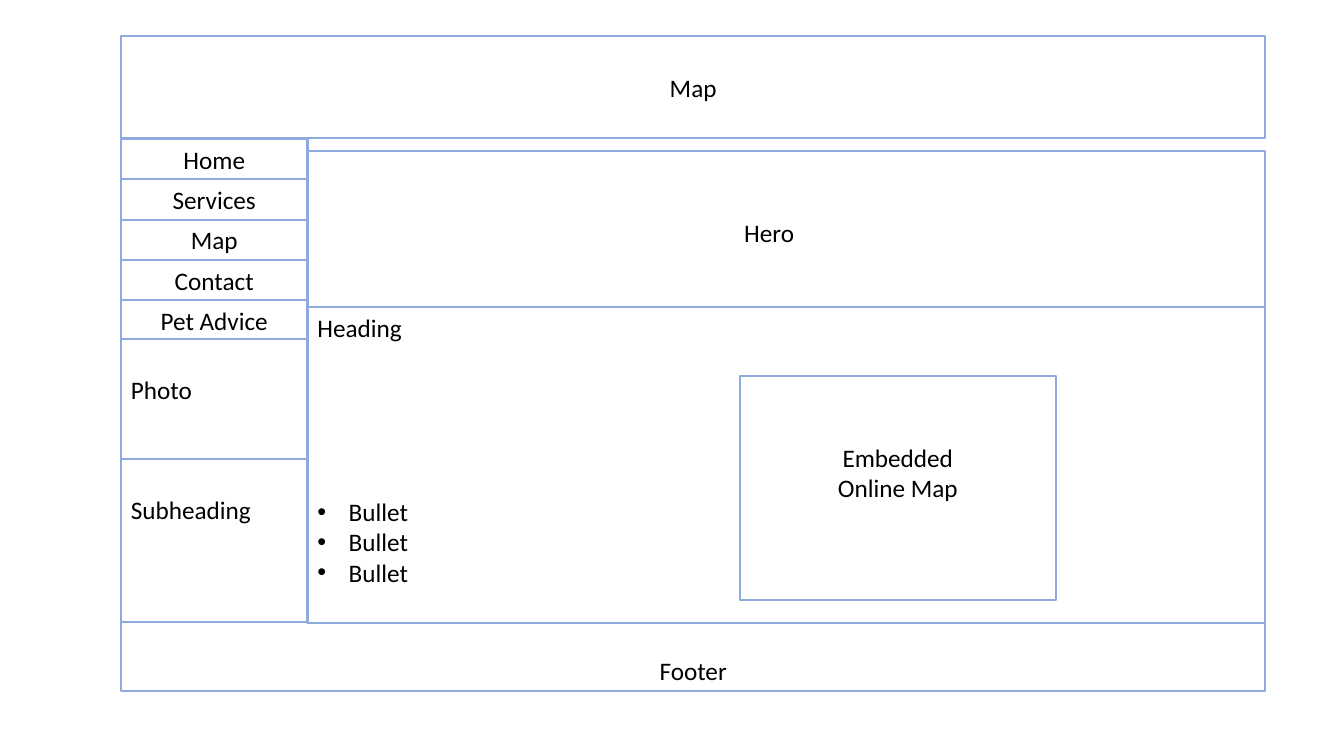
from dataclasses import dataclass

from lxml import etree
from pptx import Presentation
from pptx.dml.color import RGBColor
from pptx.enum.shapes import MSO_SHAPE
from pptx.enum.text import MSO_ANCHOR, PP_ALIGN
from pptx.oxml.ns import qn
from pptx.util import Inches, Pt

RECT = MSO_SHAPE.RECTANGLE
TOP = MSO_ANCHOR.TOP
LEFT, CENTER = PP_ALIGN.LEFT, PP_ALIGN.CENTER

WHITE, BLACK, BLUE = "FFFFFF", "000000", "8FAADC"
FONT, SIZE = "Calibri", 18
ROW = 0.305  # height of one text line, inches
EDGE, SIDE, MAIN = 1.2, 1.85, 9.5
INNER, FULL = EDGE + SIDE, SIDE + MAIN
NAV_TOP, NAV_STEP = 1.38, 0.4
INDENT = 0.31


@dataclass
class Box:
    """A wireframe region; drop is the number of lines above its text."""
    left: float
    top: float
    width: float
    height: float
    lines: list[str]
    drop: int = 0
    align: PP_ALIGN = CENTER
    right: float = 0.1


def color(code: str) -> RGBColor:
    """Turn a hex string into a colour."""
    return RGBColor.from_string(code)


def add_line(para, text: str, align: PP_ALIGN) -> None:
    """Write one line of text into a paragraph."""
    para.alignment = align
    run = para.add_run()
    run.text = text
    run.font.name = FONT
    run.font.size = Pt(SIZE)
    run.font.color.rgb = color(BLACK)


def add_bullet(para) -> None:
    """Give a paragraph a round bullet and a hanging indent."""
    props = para._p.get_or_add_pPr()
    props.set("marL", str(Inches(INDENT)))
    props.set("indent", str(-Inches(INDENT)))
    font = etree.SubElement(props, qn("a:buFont"))
    font.set("typeface", "Arial")
    mark = etree.SubElement(props, qn("a:buChar"))
    mark.set("char", "•")


def add_box(slide, box: Box):
    """Draw a region with its text and return its text frame."""
    shape = slide.shapes.add_shape(
        RECT, Inches(box.left), Inches(box.top),
        Inches(box.width), Inches(box.height))
    shape.shadow.inherit = False
    shape.fill.solid()
    shape.fill.fore_color.rgb = color(WHITE)
    shape.line.color.rgb = color(BLUE)
    shape.line.width = Pt(1.5)
    frame = shape.text_frame
    frame.word_wrap = True
    frame.vertical_anchor = TOP
    frame.margin_top = Inches(0.05 + box.drop * ROW)
    frame.margin_right = Inches(box.right)
    for i, text in enumerate(box.lines):
        para = frame.add_paragraph() if i else frame.paragraphs[0]
        add_line(para, text, box.align)
    return frame


def add_list(frame, items: list[str], gap: int) -> None:
    """Add bullets to a frame, the first one gap lines down."""
    for i, text in enumerate(items):
        para = frame.add_paragraph()
        add_line(para, text, LEFT)
        if i == 0:
            para.space_before = Pt(gap * ROW * 72)
        add_bullet(para)


HEADER = Box(EDGE, 0.36, FULL, 1.01, ["Map"], 1)
FOOTER = Box(EDGE, 6.15, FULL, 0.71, ["Footer"], 1)
HERO = Box(INNER, 1.5, MAIN, 1.62, ["Hero"], 2, right=0.44)
BODY = Box(INNER, 3.05, MAIN, 3.13, ["Heading"], align=LEFT)
NAV = [Box(EDGE, NAV_TOP + i * NAV_STEP, SIDE, NAV_STEP, [name])
       for i, name in enumerate(
           ["Home", "Services", "Map", "Contact", "Pet Advice"])]
PHOTO = Box(EDGE, 3.36, SIDE, 1.31, ["Photo"], 1, LEFT)
SUBHEAD = Box(EDGE, 4.55, SIDE, 1.62, ["Subheading"], 1, LEFT)
EMBED = Box(7.34, 3.73, 3.13, 2.22, ["Embedded", "Online Map"], 2)

deck = Presentation()
deck.slide_width, deck.slide_height = Inches(13.33), Inches(7.5)
page = deck.slides.add_slide(deck.slide_layouts[6])

for part in [HEADER, FOOTER, HERO]:
    add_box(page, part)
add_list(add_box(page, BODY), ["Bullet"] * 3, gap=5)
for part in [*NAV, PHOTO, SUBHEAD, EMBED]:
    add_box(page, part)

deck.save("out.pptx")
